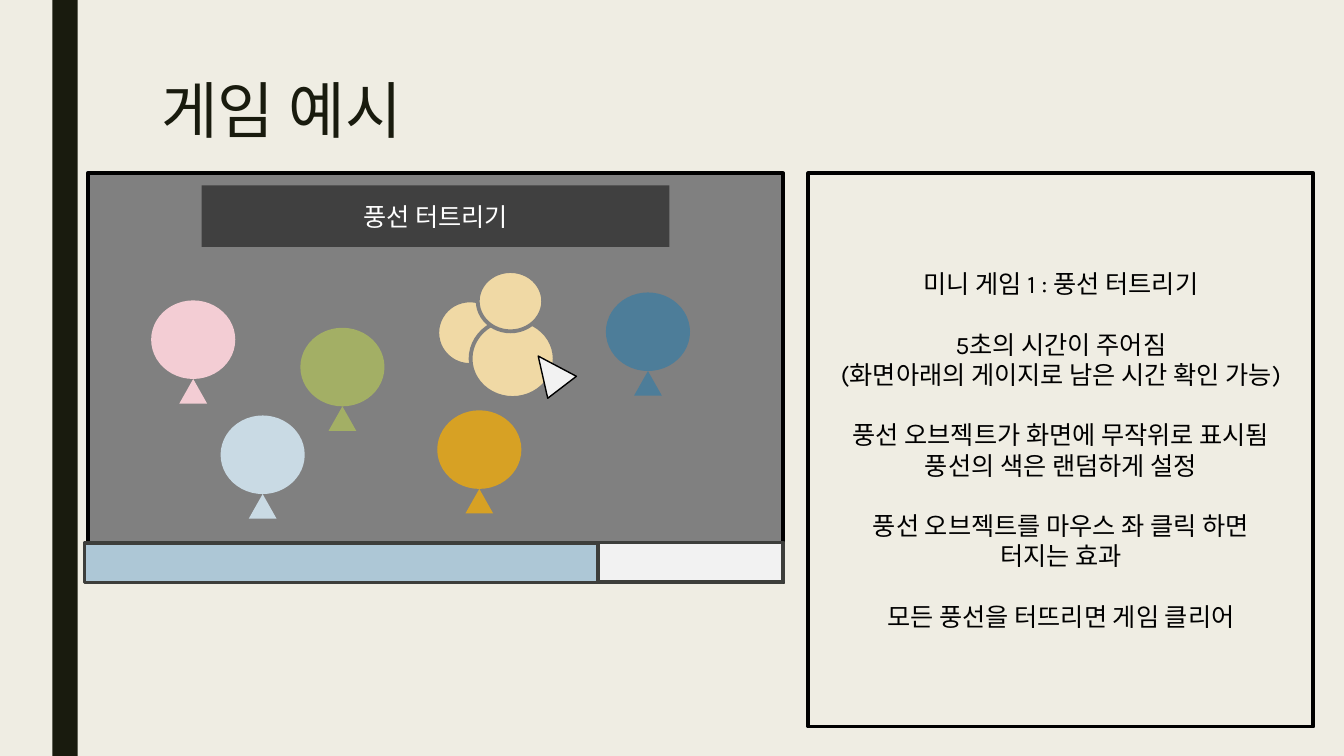
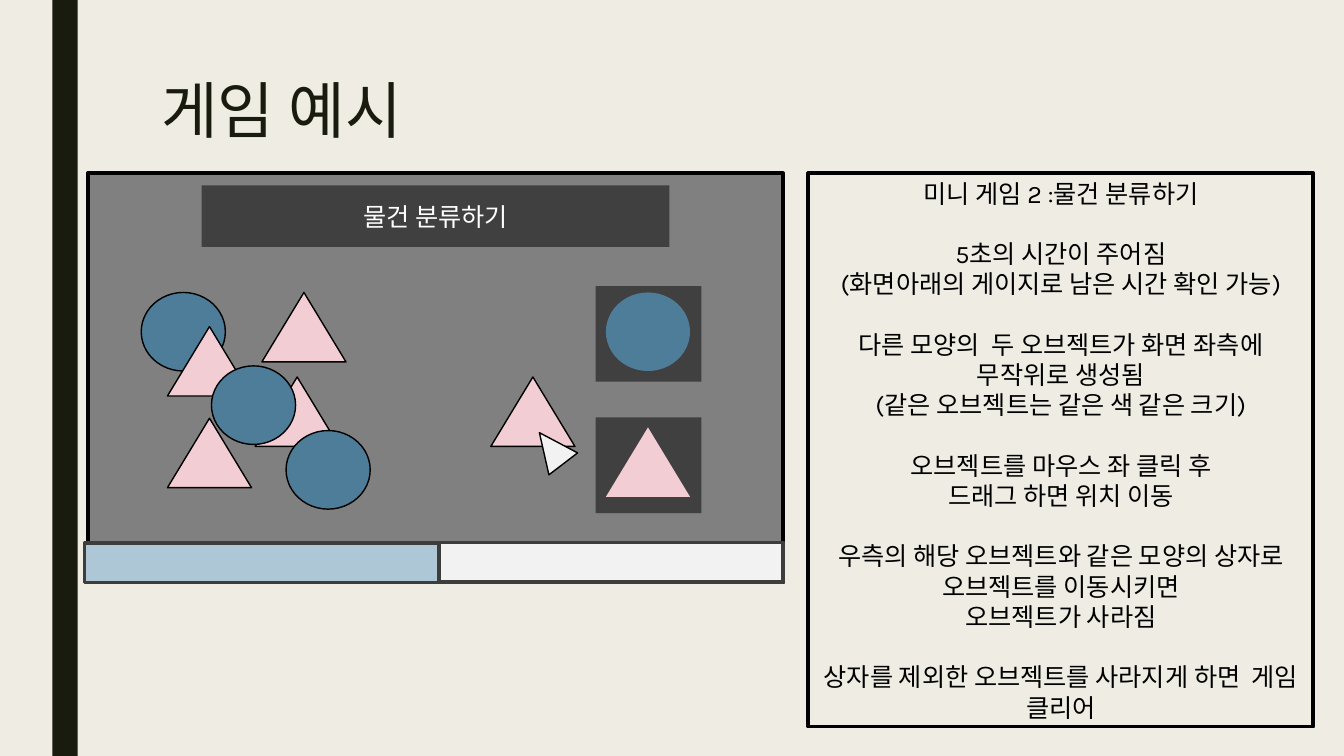
from typing import NamedTuple

from pptx import Presentation
from pptx.dml.color import RGBColor
from pptx.enum.shapes import MSO_SHAPE
from pptx.enum.text import MSO_ANCHOR, MSO_AUTO_SIZE, PP_ALIGN
from pptx.util import Cm, Pt

RECT = MSO_SHAPE.RECTANGLE
CIRCLE = MSO_SHAPE.FLOWCHART_CONNECTOR
TRIANGLE = MSO_SHAPE.ISOSCELES_TRIANGLE
TOP, MIDDLE = MSO_ANCHOR.TOP, MSO_ANCHOR.MIDDLE
LEFT, CENTER = PP_ALIGN.LEFT, PP_ALIGN.CENTER
NO_AUTOFIT = MSO_AUTO_SIZE.NONE

FONT = "Karla"
PAPER, INK = "EFEDE3", "191B0E"
BLACK, WHITE, OFF_WHITE = "000000", "FFFFFF", "F2F2F2"
GRAY, DARK, EDGE = "808080", "404040", "3D3E3B"
PINK, GREEN, GOLD, BLUE, PALE, CREAM = (
    "F3CDD4", "A3AF65", "D7A124", "4D7D99", "C9DAE4", "F0D9A5")
GAUGE_BLUE = "ADC7D6"
THICK, THIN = 2.75, 1
LINE_GAP = 21.6  # one line of 18 pt text


class Box(NamedTuple):
    """A rectangle in centimetres."""
    left: float
    top: float
    width: float
    height: float

    def inner(self, left, top, width, height):
        """Return the box at an offset from this one's corner."""
        return Box(self.left + left, self.top + top, width, height)


STRIPE = Box(1.32, 0, 0.64, 19.05)
TITLE = Box(3.81, 1.91, 26.67, 4.11)
SCREEN = Box(2.21, 4.37, 17.53, 10.31)
RULES = Box(20.37, 4.37, 12.73, 13.94)
ROUND_SIZE = (2.12, 1.98)
TRIANGLE_SIZE = (2.12, 1.75)
KNOT_SIZE = (0.7, 0.62)

BALLOONS = [(1.6, 3.2, PINK), (5.36, 3.89, GREEN), (8.81, 5.97, GOLD),
            (13.06, 3, BLUE), (3.35, 6.1, PALE)]
BURST = [(8.81, 3.2, 1.65, 1.63), (9.65, 3.68, *ROUND_SIZE),
         (9.83, 2.46, 1.65, 1.52)]
PIECES = [(CIRCLE, 1.35, 3), (TRIANGLE, 2.01, 3.86), (TRIANGLE, 4.39, 3),
          (TRIANGLE, 2.01, 6.17), (TRIANGLE, 10.16, 5.13),
          (TRIANGLE, 4.22, 5.13), (CIRCLE, 3.12, 4.85), (CIRCLE, 5, 6.48)]
PIECE_LOOK = {CIRCLE: (ROUND_SIZE, BLUE), TRIANGLE: (TRIANGLE_SIZE, PINK)}

TIME_RULE = ["5초의 시간이 주어짐", "(화면아래의 게이지로 남은 시간 확인 가능)"]
BALLOON_RULES = [
    ["미니 게임 1 : 풍선 터트리기"],
    TIME_RULE,
    ["풍선 오브젝트가 화면에 무작위로 표시됨", "풍선의 색은 랜덤하게 설정"],
    ["풍선 오브젝트를 마우스 좌 클릭 하면", "터지는 효과"],
    ["모든 풍선을 터뜨리면 게임 클리어"],
]
SORTING_RULES = [
    ["미니 게임 2 :물건 분류하기"],
    TIME_RULE,
    ["다른 모양의  두 오브젝트가 화면 좌측에 무작위로 생성됨",
     "(같은 오브젝트는 같은 색 같은 크기)"],
    ["오브젝트를 마우스 좌 클릭 후", "드래그 하면 위치 이동"],
    ["우측의 해당 오브젝트와 같은 모양의 상자로 오브젝트를 이동시키면",
     "오브젝트가 사라짐"],
    ["상자를 제외한 오브젝트를 사라지게 하면  게임 클리어"],
]


def color(value):
    return RGBColor.from_string(value)


def place(shape, box):
    shape.left, shape.top, shape.width, shape.height = map(Cm, box)


def draw(shapes, kind, box, fill=None, line=None, weight=THIN):
    shape = shapes.add_shape(kind, *map(Cm, box))
    shape.shadow.inherit = False
    if fill:
        shape.fill.solid()
        shape.fill.fore_color.rgb = color(fill)
    else:
        shape.fill.background()
    if line:
        shape.line.color.rgb = color(line)
        shape.line.width = Pt(weight)
    else:
        shape.line.fill.background()
    return shape


def write(frame, groups, size=18, ink=BLACK, align=CENTER, anchor=MIDDLE,
          spacing=None):
    """Fill a frame with groups of paragraphs, set one line apart."""
    frame.word_wrap = True
    frame.auto_size = NO_AUTOFIT
    frame.vertical_anchor = anchor
    para = None
    for group in groups:
        for index, text in enumerate(group):
            first = para is None
            para = frame.paragraphs[0] if first else frame.add_paragraph()
            para.alignment = align
            para.line_spacing = spacing
            para.space_before = Pt(0 if first or index else LINE_GAP)
            span = para.add_run()
            span.text = text
            span.font.name = FONT
            span.font.size = Pt(size)
            span.font.color.rgb = color(ink)


def add_game_page(deck, layout, name, rules, elapsed):
    """Add a page with title, game screen, time gauge and rules."""
    page = deck.slides.add_slide(layout)
    shapes = page.shapes
    draw(shapes, RECT, STRIPE, INK)
    place(shapes.title, TITLE)
    write(shapes.title.text_frame, [["게임 예시"]], size=44, ink=INK,
          align=LEFT, anchor=TOP, spacing=0.89)
    add_screen(shapes, SCREEN, name, elapsed)
    panel = draw(shapes, RECT, RULES, line=BLACK, weight=THICK)
    write(panel.text_frame, rules)
    return shapes


def add_screen(shapes, box, name, elapsed):
    draw(shapes, RECT, box, GRAY, BLACK, THICK)
    banner = draw(shapes, RECT, box.inner(2.87, 0.3, 11.79, 1.55), DARK)
    write(banner.text_frame, [[name]], ink=WHITE)
    draw(shapes, RECT, box.inner(0, 9.3, box.width, 0.99),
         OFF_WHITE, EDGE, THICK)
    draw(shapes, RECT, box.inner(-0.08, 9.32, elapsed, 0.99),
         GAUGE_BLUE, EDGE, THICK)


def add_cursor(shapes, box, left, top):
    cursor = draw(shapes, TRIANGLE, box.inner(left, top, 0.91, 0.99),
                  OFF_WHITE, BLACK)
    cursor.rotation = 322.6


def add_balloon(shapes, box, fill):
    parts = shapes.add_group_shape().shapes
    draw(parts, CIRCLE, box, fill)
    knot_left = (box.width - KNOT_SIZE[0]) / 2
    draw(parts, TRIANGLE, box.inner(knot_left, box.height, *KNOT_SIZE), fill)


def add_balloon_game(shapes, box):
    for left, top, fill in BALLOONS:
        add_balloon(shapes, box.inner(left, top, *ROUND_SIZE), fill)
    for puff in BURST:
        draw(shapes, CIRCLE, box.inner(*puff), CREAM, GRAY, THICK)
    add_cursor(shapes, box, 11.2, 4.5)


def add_piece(shapes, box, kind, left, top, line=None):
    size, fill = PIECE_LOOK[kind]
    draw(shapes, kind, box.inner(left, top, *size), fill, line)


def add_sorting_game(shapes, box):
    for kind, bin_top, piece_top in [(CIRCLE, 2.84, 3), (TRIANGLE, 6.15, 6.4)]:
        draw(shapes, RECT, box.inner(12.8, bin_top, 2.67, 2.41), DARK)
        add_piece(shapes, box, kind, 13.06, piece_top)
    for kind, left, top in PIECES:
        add_piece(shapes, box, kind, left, top, BLACK)
    add_cursor(shapes, box, 11.23, 6.43)


def main():
    deck = Presentation()
    deck.slide_width, deck.slide_height = Cm(33.87), Cm(19.05)
    backdrop = deck.slide_master.background.fill
    backdrop.solid()
    backdrop.fore_color.rgb = color(PAPER)
    layout = deck.slide_layouts.get_by_name("Title Only")

    balloon_page = add_game_page(deck, layout, "풍선 터트리기",
                                 BALLOON_RULES, elapsed=12.95)
    add_balloon_game(balloon_page, SCREEN)
    sorting_page = add_game_page(deck, layout, "물건 분류하기",
                                 SORTING_RULES, elapsed=8.94)
    add_sorting_game(sorting_page, SCREEN)
    deck.save("out.pptx")


if __name__ == "__main__":
    main()
